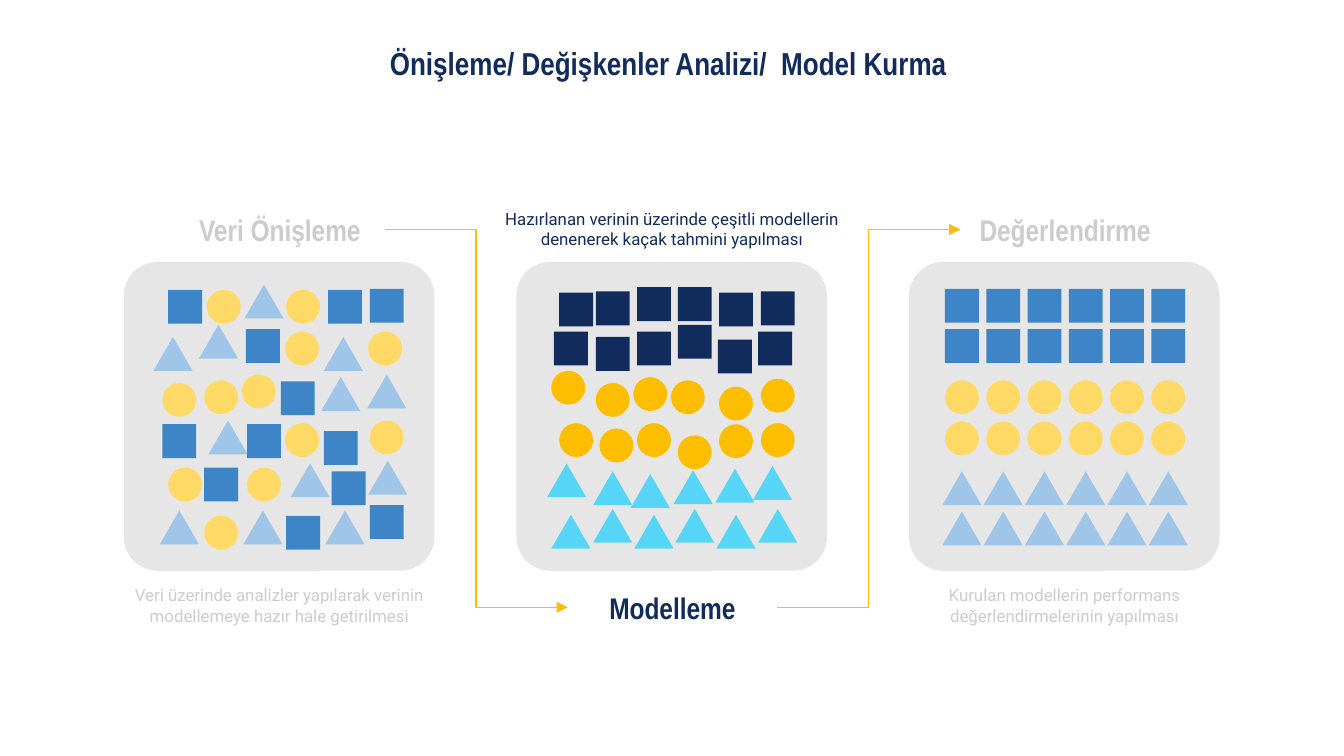
from lxml import etree
from pptx import Presentation
from pptx import util as u
from pptx.dml.color import RGBColor
from pptx.enum import shapes, text
from pptx.oxml.ns import qn

Cm = u.Cm
COLORS = {
    "navy": "112C5C", "panel": "E6E6E6", "muted": "CCCCCC", "gold": "FDBE02",
    "cyan": "57D5F7", "blue": "3D85C6", "yellow": "FFD966", "sky": "9FC5E8",
}
SOFT = {"s": "blue", "c": "yellow", "t": "sky"}
STRONG = {"s": "navy", "c": "gold", "t": "cyan"}

# Mark kinds: preset and width in cm
MARK_H = 0.64
MARKS = {
    "s": (shapes.MSO_SHAPE.RECTANGLE, 0.64),
    "c": (shapes.MSO_SHAPE.OVAL, 0.64),
    "t": (shapes.MSO_SHAPE.ISOSCELES_TRIANGLE, 0.74),
}

# Panels and their headings, in cm
PANEL_W, PANEL_H, PANEL_TOP = 5.87, 5.84, 4.95
PANEL_X = [2.34 + 7.42 * i for i in range(3)]
HEAD_DX, HEAD_W, HEAD_H = 0.97, 3.96, 0.86
HEAD_TOP, HEAD_BOTTOM = 3.91, 11.05
CAPTION_W, CAPTION_H = 6.9, 1.6

# Rows of marks: kinds, then (centre x, top) within the panel
MIXED = [
    ("sctcss", [(1.16, .53), (1.89, .53), (2.65, .43), (3.39, .53), (4.18, .53), (4.97, .51)]),
    ("ttsctc", [(.93, 1.42), (1.79, 1.19), (2.63, 1.27), (3.37, 1.32), (4.15, 1.42), (4.94, 1.32)]),
    ("cccstt", [(1.05, 2.29), (1.84, 2.24), (2.55, 2.13), (3.29, 2.26), (4.1, 2.18), (4.97, 2.13)]),
    ("stscsc", [(1.05, 3.07), (1.97, 3), (2.65, 3.07), (3.37, 3.05), (4.1, 3.2), (4.97, 3)]),
    ("csctst", [(1.16, 3.89), (1.84, 3.89), (2.65, 3.89), (3.52, 3.81), (4.25, 3.96), (4.99, 3.76)]),
    ("tctsts", [(1.05, 4.7), (1.84, 4.8), (2.63, 4.7), (3.39, 4.8), (4.18, 4.7), (4.97, 4.6)]),
]
SORTED = [
    ("ssssss", [(1.13, .58), (1.82, .56), (2.6, .48), (3.37, .48), (4.15, .58), (4.94, .56)]),
    ("ssssss", [(1.03, 1.32), (1.82, 1.42), (2.6, 1.32), (3.37, 1.19), (4.13, 1.47), (4.89, 1.32)]),
    ("cccccc", [(.98, 2.06), (1.82, 2.29), (2.53, 2.18), (3.24, 2.24), (4.15, 2.36), (4.94, 2.21)]),
    ("cccccc", [(1.13, 3.05), (1.89, 3.15), (2.6, 3.05), (3.37, 3.28), (4.15, 3.07), (4.94, 3.05)]),
    ("tttttt", [(.95, 3.81), (1.82, 3.96), (2.53, 4.01), (3.34, 3.94), (4.13, 3.91), (4.84, 3.86)]),
    ("tttttt", [(1.03, 4.78), (1.82, 4.67), (2.6, 4.78), (3.37, 4.67), (4.15, 4.78), (4.94, 4.67)]),
]
ALIGNED = [
    (kind * 6, [(1 + 0.78 * i, top) for i in range(6)])
    for kind, top in zip("sscctt", [.51, 1.27, 2.24, 3.02, 3.96, 4.72])
]


def rgb(name):
    return RGBColor.from_string(COLORS[name])


def add_solid(s, preset, x, y, w, h, color):
    sp = s.shapes.add_shape(preset, Cm(x), Cm(y), Cm(w), Cm(h))
    sp.shadow.inherit = False
    sp.fill.solid()
    sp.fill.fore_color.rgb = rgb(color)
    sp.line.fill.background()
    return sp


def format_text(sp, words, font, size, color, bold, anchor):
    tf = sp.text_frame
    tf.text = words
    tf.word_wrap = True
    tf.auto_size = text.MSO_AUTO_SIZE.NONE
    tf.vertical_anchor = anchor
    tf.margin_left = tf.margin_right = tf.margin_top = tf.margin_bottom = Cm(0.25)
    p = tf.paragraphs[0]
    p.alignment = text.PP_ALIGN.CENTER
    r = p.runs[0]
    r.font.name, r.font.size, r.font.bold = font, u.Pt(size), bold
    r.font.color.rgb = rgb(color)


def add_title(s, x, y, w, h):
    sp = s.shapes.title
    sp.left, sp.top, sp.width, sp.height = Cm(x), Cm(y), Cm(w), Cm(h)
    format_text(sp, "Önişleme/ Değişkenler Analizi/  Model Kurma ", "Arial Narrow",
                17, "navy", True, text.MSO_ANCHOR.MIDDLE)


def add_panel(s, x, y, rows, palette):
    sp = add_solid(s, shapes.MSO_SHAPE.ROUNDED_RECTANGLE, x, y, PANEL_W, PANEL_H, "panel")
    sp.adjustments[0] = 0.11
    for kinds, spots in rows:
        for kind, (cx, top) in zip(kinds, spots):
            preset, w = MARKS[kind]
            add_solid(s, preset, x + cx - w / 2, y + top, w, MARK_H, palette[kind])


def add_labels(s, x, heading, head_y, caption, caption_y, color, anchor):
    sp = s.shapes.add_textbox(Cm(x + HEAD_DX), Cm(head_y), Cm(HEAD_W), Cm(HEAD_H))
    format_text(sp, heading, "Arial Narrow", 16, color, True, text.MSO_ANCHOR.MIDDLE)
    sp = s.shapes.add_textbox(Cm(x + (PANEL_W - CAPTION_W) / 2), Cm(caption_y),
                              Cm(CAPTION_W), Cm(CAPTION_H))
    format_text(sp, caption, "Roboto", 9, color, False, anchor)


def add_arrow(s, x1, y1, x2, y2):
    c = s.shapes.add_connector(shapes.MSO_CONNECTOR.ELBOW, Cm(x1), Cm(y1), Cm(x2), Cm(y2))
    c.line.color.rgb = rgb("gold")
    c.line.width = u.Pt(0.75)
    etree.SubElement(c.line._get_or_add_ln(), qn("a:tailEnd"), type="triangle")
    etree.SubElement(c._element.spPr, qn("a:effectLst"))


def main():
    prs = Presentation()
    prs.slide_width, prs.slide_height = Cm(25.4), Cm(14.29)
    s = prs.slides.add_slide(prs.slide_layouts[5])
    add_title(s, 0, 0.38, 25.4, 1.6)

    # Three stages: marks, then heading and caption
    top, middle = text.MSO_ANCHOR.TOP, text.MSO_ANCHOR.MIDDLE
    stages = [
        (MIXED, SOFT, "Veri Önişleme", HEAD_TOP,
         "Veri üzerinde analizler yapılarak verinin modellemeye hazır hale getirilmesi",
         10.81, "muted", top),
        (SORTED, STRONG, "Modelleme", HEAD_BOTTOM,
         "Hazırlanan verinin üzerinde çeşitli modellerin denenerek kaçak tahmini yapılması",
         3.53, "navy", middle),
        (ALIGNED, SOFT, "Değerlendirme", HEAD_TOP,
         "Kurulan modellerin performans değerlendirmelerinin yapılması",
         10.81, "muted", top),
    ]
    for x, (rows, palette, *labels) in zip(PANEL_X, stages):
        add_panel(s, x, PANEL_TOP, rows, palette)
        add_labels(s, x, *labels)

    # Arrows from each heading to the next
    head_mid = [stage[3] + HEAD_H / 2 for stage in stages]
    for i in range(2):
        add_arrow(s, PANEL_X[i] + HEAD_DX + HEAD_W, head_mid[i],
                  PANEL_X[i + 1] + HEAD_DX, head_mid[i + 1])

    prs.save("out.pptx")


if __name__ == "__main__":
    main()
